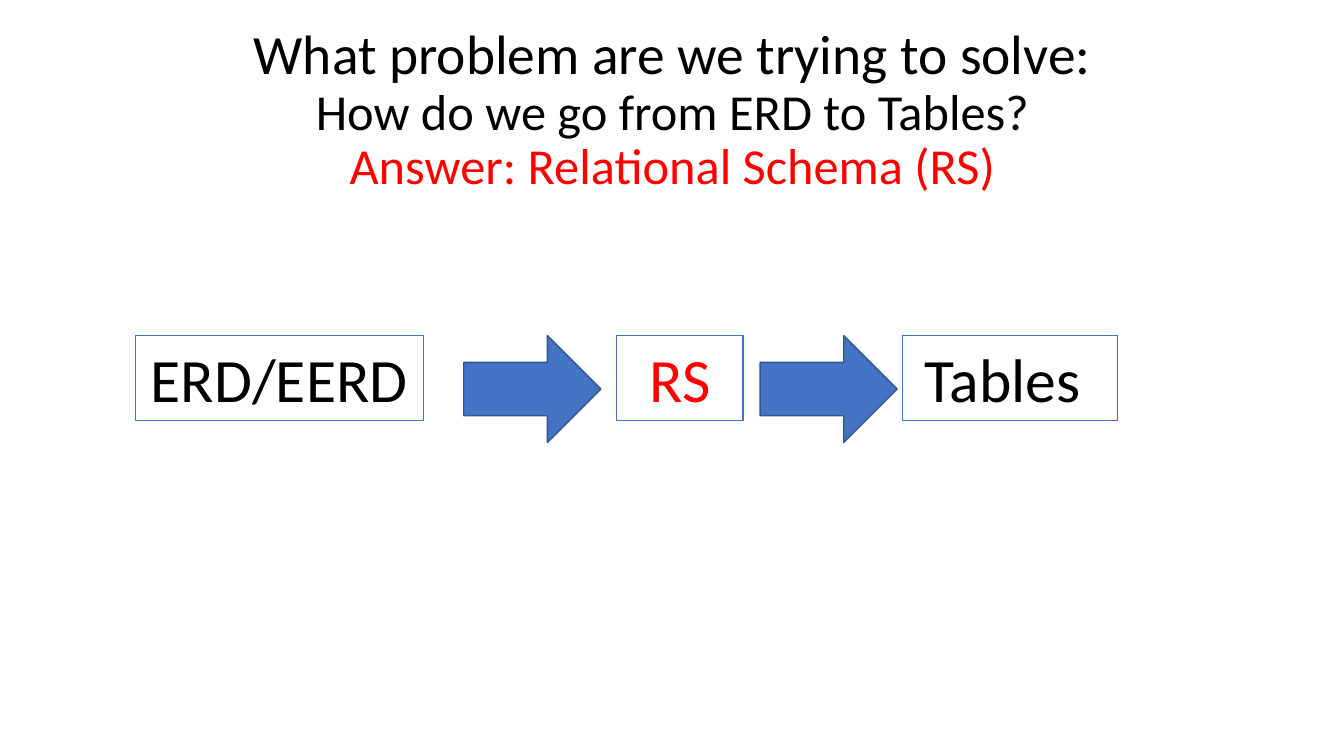
from pptx import Presentation
from pptx import util as u
from pptx.dml.color import RGBColor
from pptx.enum import shapes, text

WIDTH, HEIGHT = u.Inches(13.33), u.Inches(7.5)
FONT = "Calibri"
BLACK = RGBColor(0x00, 0x00, 0x00)
RED = RGBColor(0xFF, 0x00, 0x00)
BLUE = RGBColor(0x44, 0x72, 0xC4)
DARK_BLUE = RGBColor(0x32, 0x54, 0x91)

# Percentages of the slide's width and height
FLOW_TOP, BOX_HEIGHT, ARROW_HEIGHT = 44.4, 11.2, 14.13
ARROW_WIDTH = 10.2
TITLE_AREA = (6.9, 5.33, 86.27, 18.8)

TITLE_LINES = [
    ("What problem are we trying to solve:", 39.6, BLACK),
    ("How do we go from ERD to Tables?", 36, BLACK),
    ("Answer: Relational Schema (RS)", 36, RED),
]
STAGES = [  # label, left, width, colour
    ("ERD/EERD ", 10.05, 21.45, BLACK),
    ("RS", 45.91, 9.38, RED),
    ("Tables ", 67.14, 15.98, BLACK),
]
ARROW_LEFTS = [34.51, 56.56]


def area(left, top, width, height):
    """Turn percentages of the slide into lengths."""
    return (int(WIDTH * left / 100), int(HEIGHT * top / 100),
            int(WIDTH * width / 100), int(HEIGHT * height / 100))


def fill_title(title):
    title.left, title.top, title.width, title.height = area(*TITLE_AREA)
    frame = title.text_frame
    frame.auto_size = text.MSO_AUTO_SIZE.NONE
    frame.vertical_anchor = text.MSO_ANCHOR.MIDDLE
    paragraph = frame.paragraphs[0]
    paragraph.alignment = text.PP_ALIGN.CENTER
    paragraph.line_spacing = 0.9
    paragraph.space_before = u.Pt(0)
    for index, (line, size, color) in enumerate(TITLE_LINES):
        if index:
            paragraph.add_line_break()
        run = paragraph.add_run()
        run.text = line
        run.font.name = FONT
        run.font.size = u.Pt(size)
        run.font.color.rgb = color


def add_stage(slide, label, left, width, color):
    box = slide.shapes.add_textbox(*area(left, FLOW_TOP, width, BOX_HEIGHT))
    box.line.color.rgb = BLUE
    box.line.width = u.Pt(0.75)
    frame = box.text_frame
    frame.word_wrap = True
    frame.auto_size = text.MSO_AUTO_SIZE.SHAPE_TO_FIT_TEXT
    paragraph = frame.paragraphs[0]
    paragraph.text = label
    paragraph.alignment = text.PP_ALIGN.CENTER
    paragraph.font.name = FONT
    paragraph.font.size = u.Pt(44)
    paragraph.font.color.rgb = color


def add_arrow(slide, left):
    arrow = slide.shapes.add_shape(
        shapes.MSO_SHAPE.RIGHT_ARROW,
        *area(left, FLOW_TOP, ARROW_WIDTH, ARROW_HEIGHT))
    arrow.shadow.inherit = False
    arrow.fill.solid()
    arrow.fill.fore_color.rgb = BLUE
    arrow.line.color.rgb = DARK_BLUE
    arrow.line.width = u.Pt(1)


def main():
    presentation = Presentation()
    presentation.slide_width, presentation.slide_height = WIDTH, HEIGHT
    slide = presentation.slides.add_slide(presentation.slide_layouts[5])
    fill_title(slide.shapes.title)
    for stage in STAGES:
        add_stage(slide, *stage)
    for left in ARROW_LEFTS:
        add_arrow(slide, left)
    presentation.save("out.pptx")


if __name__ == "__main__":
    main()
